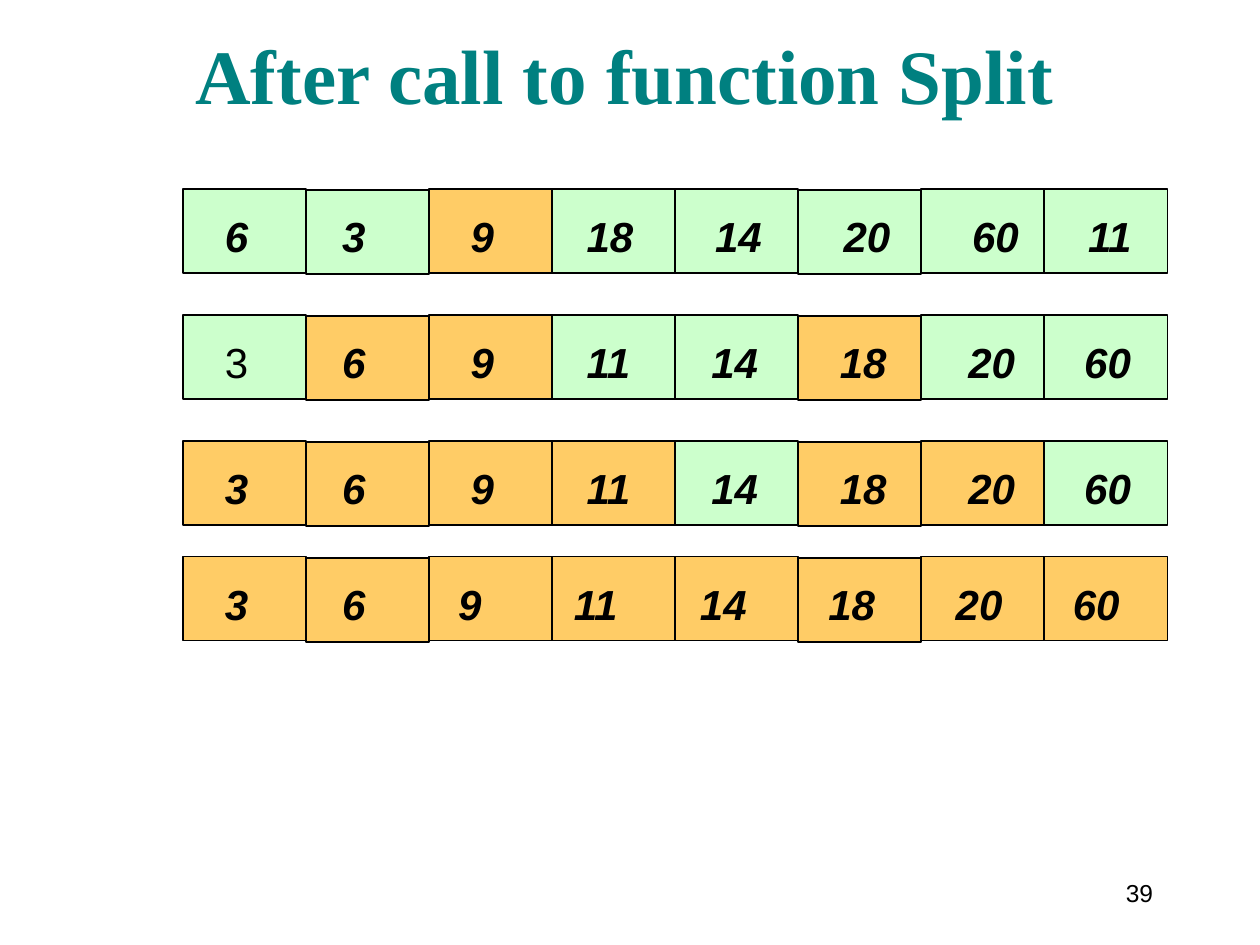
from dataclasses import dataclass

from lxml import etree
from pptx import Presentation
from pptx.dml.color import RGBColor
from pptx.enum.shapes import MSO_SHAPE
from pptx.enum.text import MSO_ANCHOR, PP_ALIGN
from pptx.oxml.ns import qn
from pptx.util import Inches, Pt

RECTANGLE = MSO_SHAPE.RECTANGLE
TOP, MIDDLE, BOTTOM = MSO_ANCHOR.TOP, MSO_ANCHOR.MIDDLE, MSO_ANCHOR.BOTTOM
LEFT, CENTER, RIGHT = PP_ALIGN.LEFT, PP_ALIGN.CENTER, PP_ALIGN.RIGHT


@dataclass(frozen=True)
class Theme:
    ink: RGBColor = RGBColor.from_string("000000")
    heading: RGBColor = RGBColor.from_string("008080")
    unsorted: RGBColor = RGBColor.from_string("CCFFCC")
    placed: RGBColor = RGBColor.from_string("FFCC66")
    heading_font: str = "Times New Roman"
    body_font: str = "Arial"
    heading_size: int = 44
    value_size: int = 24
    number_size: int = 14
    line_width: int = 1


# The page is a grid of 120 columns by 90 rows, 12 to the inch.
COLUMNS, ROWS, PER_INCH = 120, 90, 12
CELL_LEFT, CELL_PITCH, CELL_WIDTH, CELL_HEIGHT = 17.4, 11.72, 11.75, 8
LOWERED_CELLS, LOWERING = (1, 5), 0.12
DRAW_ORDER = (0, 1, 3, 2, 4, 5, 7, 6)
VALUES_LEFT, VALUES_WIDTH, VALUES_HEIGHT = 17, 94, 6

# Tab stops in inches from the left edge of the text.
WIDE_STOPS = (0.27, 1.2, 2.22, 3.14, 4.16, 5.18, 6.2, 7.12)
MIDDLE_STOPS = WIDE_STOPS[:4] + (4.13, 5.15, 6.17, 7.09)
NARROW_STOPS = (0.27, 1.2, 2.12, 3.04, 4.04, 5.06, 6.07, 7)

# Top row of the grid, values, indexes already in place, tab stops, plain values.
STEPS = (
    (18, (6, 3, 9, 18, 14, 20, 60, 11), {2}, WIDE_STOPS, set()),
    (30, (3, 6, 9, 11, 14, 18, 20, 60), {1, 2, 5}, MIDDLE_STOPS, {0}),
    (42, (3, 6, 9, 11, 14, 18, 20, 60), {0, 1, 2, 3, 5, 6}, MIDDLE_STOPS, set()),
    (53, (3, 6, 9, 11, 14, 18, 20, 60), set(range(8)), NARROW_STOPS, set()),
)


def grid(*units):
    return [Inches(unit / PER_INCH) for unit in units]


class SlideBuilder:
    def __init__(self, page, theme):
        self.page = page
        self.theme = theme

    def text_box(self, place, anchor, align, wrap=True):
        """Add an empty box and return its text frame and first paragraph."""
        frame = self.page.shapes.add_textbox(*grid(*place)).text_frame
        frame.word_wrap = wrap
        frame.vertical_anchor = anchor
        para = frame.paragraphs[0]
        para.alignment = align
        return frame, para

    def span(self, para, text, size, font=None, color=None, bold=False, italic=False):
        run = para.add_run()
        run.text = text
        run.font.size = Pt(size)
        run.font.name = font or self.theme.body_font
        run.font.color.rgb = color or self.theme.ink
        run.font.bold = bold
        run.font.italic = italic

    def title(self, text):
        _, para = self.text_box((8, 4, 103, 8), BOTTOM, CENTER)
        self.span(para, text, self.theme.heading_size, self.theme.heading_font,
                  self.theme.heading, bold=True)

    def page_number(self, text):
        _, para = self.text_box((103, 82, 8, 6), MIDDLE, RIGHT, wrap=False)
        self.span(para, text, self.theme.number_size)

    def cell(self, index, top, fill):
        left = CELL_LEFT + index * CELL_PITCH
        drop = LOWERING if index in LOWERED_CELLS else 0
        box = self.page.shapes.add_shape(
            RECTANGLE, *grid(left, top + drop, CELL_WIDTH, CELL_HEIGHT))
        box.shadow.inherit = False
        box.fill.solid()
        box.fill.fore_color.rgb = fill
        box.line.color.rgb = self.theme.ink
        box.line.width = Pt(self.theme.line_width)

    def values(self, top, numbers, stops, plain):
        place = (VALUES_LEFT, top + 1, VALUES_WIDTH, VALUES_HEIGHT)
        frame, para = self.text_box(place, TOP, LEFT)
        frame.margin_top = Inches(0.09)
        tabs = etree.SubElement(para._p.get_or_add_pPr(), qn("a:tabLst"))
        for stop in stops:
            etree.SubElement(tabs, qn("a:tab"), pos=str(Inches(stop)), algn="l")
        for index, number in enumerate(numbers):
            strong = index not in plain
            self.span(para, f"\t{number}", self.theme.value_size,
                      bold=strong, italic=strong)

    def array(self, top, numbers, placed, stops, plain):
        for index in DRAW_ORDER:
            fill = self.theme.placed if index in placed else self.theme.unsorted
            self.cell(index, top, fill)
        self.values(top, numbers, stops, plain)


def main():
    deck = Presentation()
    deck.slide_width, deck.slide_height = grid(COLUMNS, ROWS)
    page = deck.slides.add_slide(deck.slide_layouts[6])
    builder = SlideBuilder(page, Theme())
    builder.page_number("39")
    builder.title("After call to function Split")
    for step in STEPS:
        builder.array(*step)
    deck.save("out.pptx")


if __name__ == "__main__":
    main()
